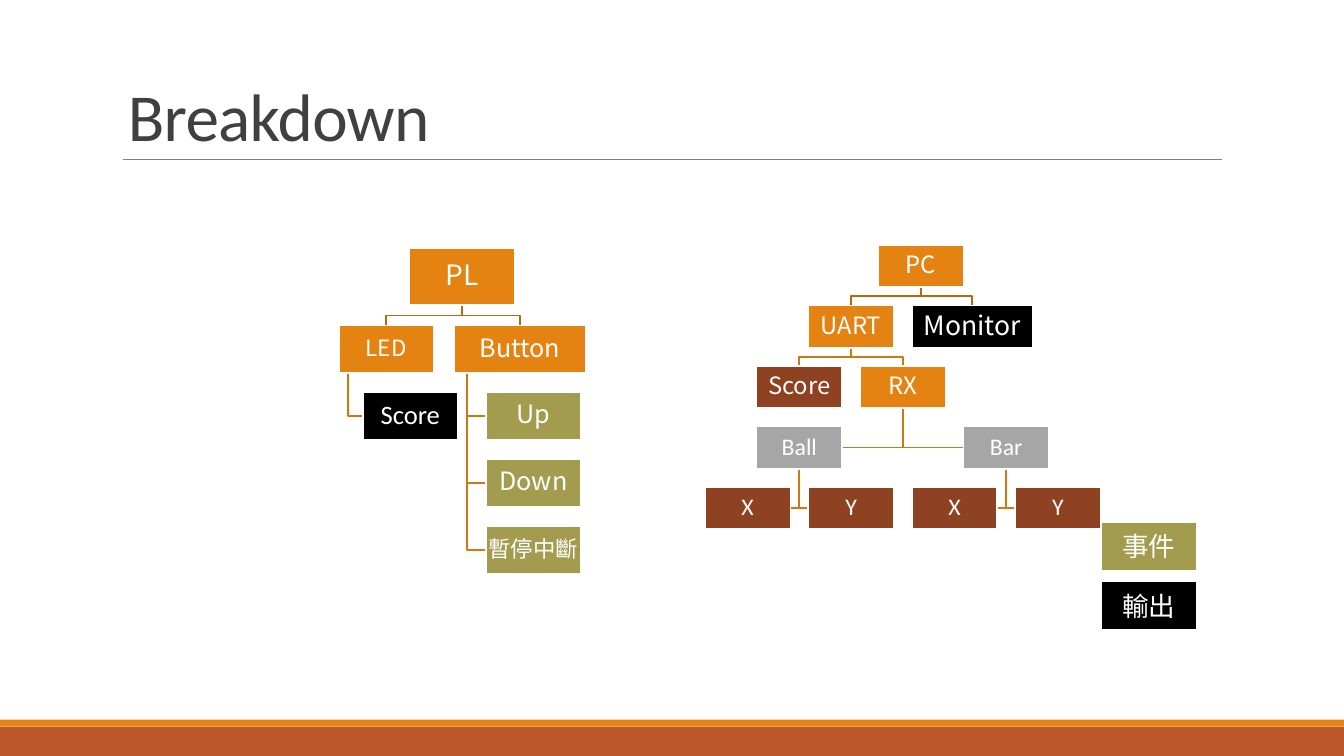
import pptx
import pptx.dml.color
import pptx.enum.shapes
import pptx.enum.text
import pptx.oxml
import pptx.oxml.ns
import pptx.util

Inches = pptx.util.Inches
Pt = pptx.util.Pt
RGBColor = pptx.dml.color.RGBColor
RECTANGLE = pptx.enum.shapes.MSO_SHAPE.RECTANGLE
ANCHOR = pptx.enum.text.MSO_ANCHOR
ALIGN = pptx.enum.text.PP_ALIGN

ORANGE = RGBColor(0xE4, 0x83, 0x12)
RUST = RGBColor(0xBD, 0x58, 0x2C)
BROWN = RGBColor(0x8E, 0x42, 0x21)
OLIVE = RGBColor(0xA3, 0x9B, 0x4E)
SILVER = RGBColor(0xA6, 0xA6, 0xA6)
BLACK = RGBColor(0x00, 0x00, 0x00)
WHITE = RGBColor(0xFF, 0xFF, 0xFF)
TITLE_GREY = RGBColor(0x40, 0x40, 0x40)
RULE_GREY = RGBColor(0x80, 0x80, 0x80)
TOP_LINK = RGBColor(0xB7, 0x69, 0x0E)
LOWER_LINK = RGBColor(0xCF, 0x77, 0x10)

LATIN = "Calibri"
CJK = "Noto Sans CJK SC"
INSET = Inches(0.01)
NODE_FRAME = {
    "word_wrap": True, "vertical_anchor": ANCHOR.MIDDLE,
    "margin_left": INSET, "margin_right": INSET,
    "margin_top": INSET, "margin_bottom": INSET,
}
TITLE_FRAME = {"word_wrap": True, "vertical_anchor": ANCHOR.BOTTOM}

PL_NODES = {
    "PL": (0.7, 0, 1.05, 0.57, ORANGE, "PL", 20, CJK),
    "LED": (0, 0.77, 0.94, 0.47, ORANGE, "LED", 16, CJK),
    "Score": (0.24, 1.43, 0.94, 0.47, BLACK, "Score", 19, LATIN),
    "Button": (1.14, 0.77, 1.31, 0.47, ORANGE, "Button", 18, CJK),
}
PL_EVENTS = [("Up", 18), ("Down", 18), ("暫停中斷", 16)]
for row, (event, size) in enumerate(PL_EVENTS):
    PL_NODES[event] = (1.46, 1.43 + 0.665 * row, 0.94, 0.47, OLIVE, event, size, CJK)
PL_LINKS = [("Button", event, "side") for event, size in PL_EVENTS] + [
    ("LED", "Score", "side"), ("PL", "Button", "top"), ("PL", "LED", "top"),
]

COLUMN, ROW = 0.513, 0.6
PC_GRID = [
    ("PC", 3.35, 0, 0.85, ORANGE, "PC", 17, CJK),
    ("UART", 2, 1, 0.85, ORANGE, "UART", 17, CJK),
    ("Score", 1, 2, 0.85, BROWN, "Score", 17, CJK),
    ("RX", 3, 2, 0.85, ORANGE, "RX", 17, CJK),
    ("Ball", 1, 3, 0.85, SILVER, "Ball", 17, LATIN),
    ("Ball X", 0, 4, 0.85, BROWN, "X", 17, LATIN),
    ("Ball Y", 2, 4, 0.85, BROWN, "Y", 17, LATIN),
    ("Bar", 5, 3, 0.85, SILVER, "Bar", 17, LATIN),
    ("Bar X", 4, 4, 0.85, BROWN, "X", 17, LATIN),
    ("Bar Y", 6, 4, 0.85, BROWN, "Y", 17, LATIN),
    ("Monitor", 4, 1, 1.2, BLACK, "Monitor", 19, CJK),
]
PC_NODES = {
    key: (column * COLUMN, row * ROW, width, 0.42, *look)
    for key, column, row, width, *look in PC_GRID
}
PC_LINKS = [
    ("PC", "Monitor", "top"), ("Bar", "Bar Y", "hang"), ("Bar", "Bar X", "hang"),
    ("RX", "Bar", "hang"), ("Ball", "Ball Y", "hang"), ("Ball", "Ball X", "hang"),
    ("RX", "Ball", "hang"), ("UART", "RX", "fork"), ("UART", "Score", "fork"),
    ("PC", "UART", "top"),
]


def set_all(target, values):
    """Set each named attribute of the target."""
    for name, value in values.items():
        setattr(target, name, value)


def write(shape, text, frame_values, paragraph_values, font_values, colour):
    """Write one formatted run into a shape and return it."""
    set_all(shape.text_frame, frame_values)
    paragraph = shape.text_frame.paragraphs[0]
    set_all(paragraph, paragraph_values)
    run = paragraph.add_run()
    run.text = text
    set_all(run.font, font_values)
    run.font.color.rgb = colour
    return run


def add_block(shapes, left, top, width, height, colour):
    """Add a plain filled rectangle, measured in inches."""
    block = shapes.add_shape(
        RECTANGLE, Inches(left), Inches(top), Inches(width), Inches(height))
    block.shadow.inherit = False
    block.fill.solid()
    block.fill.fore_color.rgb = colour
    block.line.fill.background()
    return block


def add_node(shapes, left, top, width, height, colour, label, size, font, spacing=0.9):
    """Add a white-edged box with its centred label."""
    node = add_block(shapes, left, top, width, height, colour)
    node.line.color.rgb = WHITE
    node.line.width = Pt(1.25)
    run = write(node, label, NODE_FRAME,
                {"alignment": ALIGN.CENTER, "line_spacing": spacing},
                {"name": font, "size": Pt(size)}, WHITE)
    east_asian = pptx.oxml.parse_xml(
        f'<a:ea {pptx.oxml.ns.nsdecls("a")} typeface="{CJK}"/>')
    run.font._element.append(east_asian)


def link_points(parent, child, kind):
    """Return the corners of the bent line from parent to child."""
    left, top, width, height = parent[:4]
    child_left, child_top, child_width, child_height = child[:4]
    bottom = top + height
    centre = left + width / 2
    child_centre = child_left + child_width / 2
    child_middle = child_top + child_height / 2
    if kind == "side":
        stem = left + width / 10
        return [(stem, bottom), (stem, child_middle), (child_left, child_middle)]
    if kind == "hang":
        edge = child_left if child_centre > centre else child_left + child_width
        return [(centre, bottom), (centre, child_middle), (edge, child_middle)]
    bend = (bottom + child_top) / 2
    return [(centre, bottom), (centre, bend), (child_centre, bend), (child_centre, child_top)]


def add_tree(slide, left, top, nodes, links):
    """Draw a grouped tree of linked boxes from its top left corner."""
    shapes = slide.shapes.add_group_shape().shapes
    for parent, child, kind in links:
        corners = [(Inches(left + x), Inches(top + y))
                   for x, y in link_points(nodes[parent], nodes[child], kind)]
        builder = shapes.build_freeform(*corners[0], scale=1.0)
        builder.add_line_segments(corners[1:], close=False)
        link = builder.convert_to_shape()
        link.shadow.inherit = False
        link.fill.background()
        link.line.color.rgb = TOP_LINK if kind == "top" else LOWER_LINK
        link.line.width = Pt(1.25)
    for x, y, *look in nodes.values():
        add_node(shapes, left + x, top + y, *look)


def add_legend(slide, left, top):
    """Stack the legend boxes for events and outputs."""
    for row, (label, colour) in enumerate([("事件", OLIVE), ("輸出", BLACK)]):
        add_node(slide.shapes, left, top + 0.59 * row, 0.95, 0.48,
                 colour, label, 19, CJK, spacing=1.0)


def add_header(slide, left, top, width, height):
    """Add the title and the thin rule beneath it."""
    rule_y = Inches(top + height - 0.01)
    rule = slide.shapes.add_connector(
        pptx.enum.shapes.MSO_CONNECTOR.STRAIGHT,
        Inches(left + 0.05), rule_y, Inches(left + width - 0.05), rule_y)
    rule.line.color.rgb = RULE_GREY
    rule.line.width = Pt(0.5)
    rule._element.spPr.append(
        pptx.oxml.parse_xml(f'<a:effectLst {pptx.oxml.ns.nsdecls("a")}/>'))
    title = slide.shapes.add_textbox(
        Inches(left), Inches(top), Inches(width), Inches(height))
    run = write(title, "Breakdown", TITLE_FRAME, {"line_spacing": 0.85},
                {"name": LATIN, "size": Pt(48)}, TITLE_GREY)
    run.font._element.set("spc", "-50")


def add_footer(slide, top, width, height):
    """Add the two-colour band along the bottom."""
    stripe = 0.07
    add_block(slide.shapes, 0, top + stripe, width, height - stripe, RUST)
    add_block(slide.shapes, 0, top, width, stripe, ORANGE)


def main():
    """Build and save the breakdown slide."""
    deck = pptx.Presentation()
    set_all(deck, {"slide_width": Inches(13.33), "slide_height": Inches(7.5)})
    slide = deck.slides.add_slide(deck.slide_layouts[6])
    add_footer(slide, 7.14, 13.33, 0.36)
    add_header(slide, 1.17, 0, 11, 1.59)
    add_tree(slide, 3.36, 2.46, PL_NODES, PL_LINKS)
    add_legend(slide, 10.92, 5.18)
    add_tree(slide, 6.99, 2.43, PC_NODES, PC_LINKS)
    deck.save("out.pptx")


if __name__ == "__main__":
    main()
